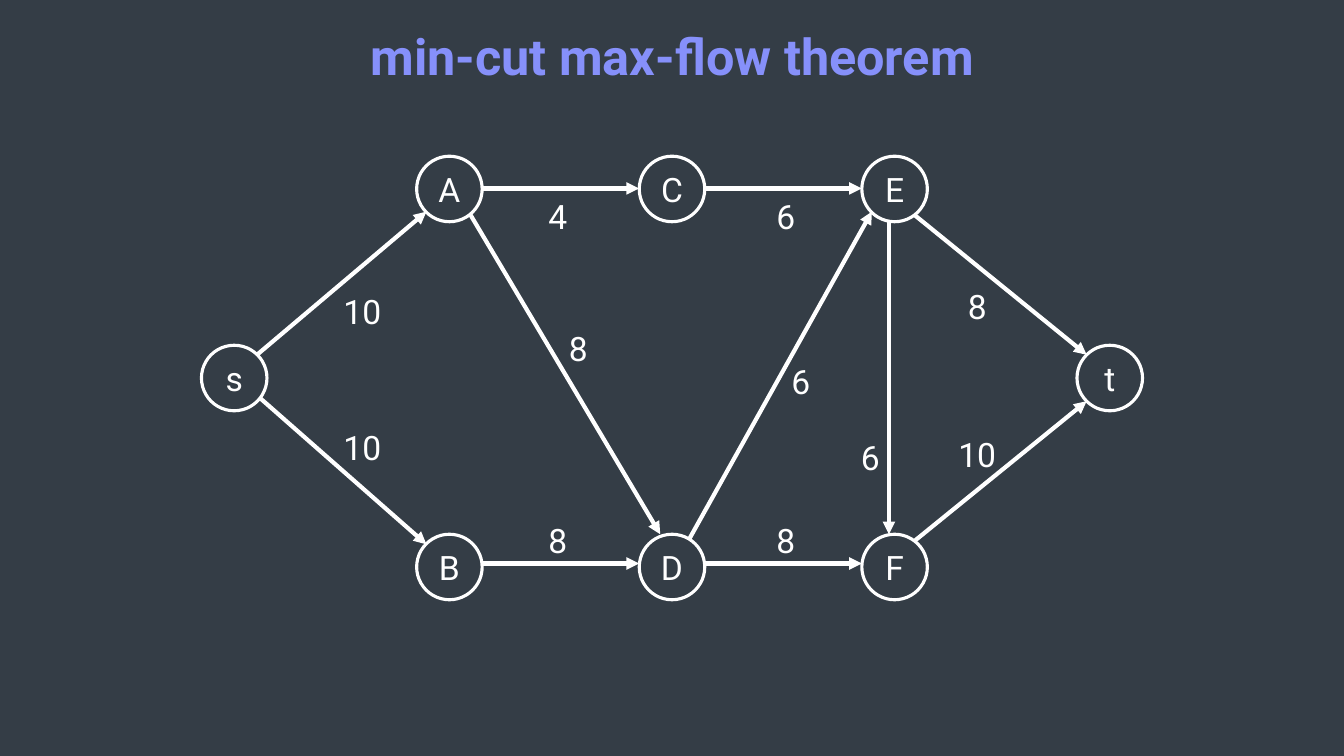
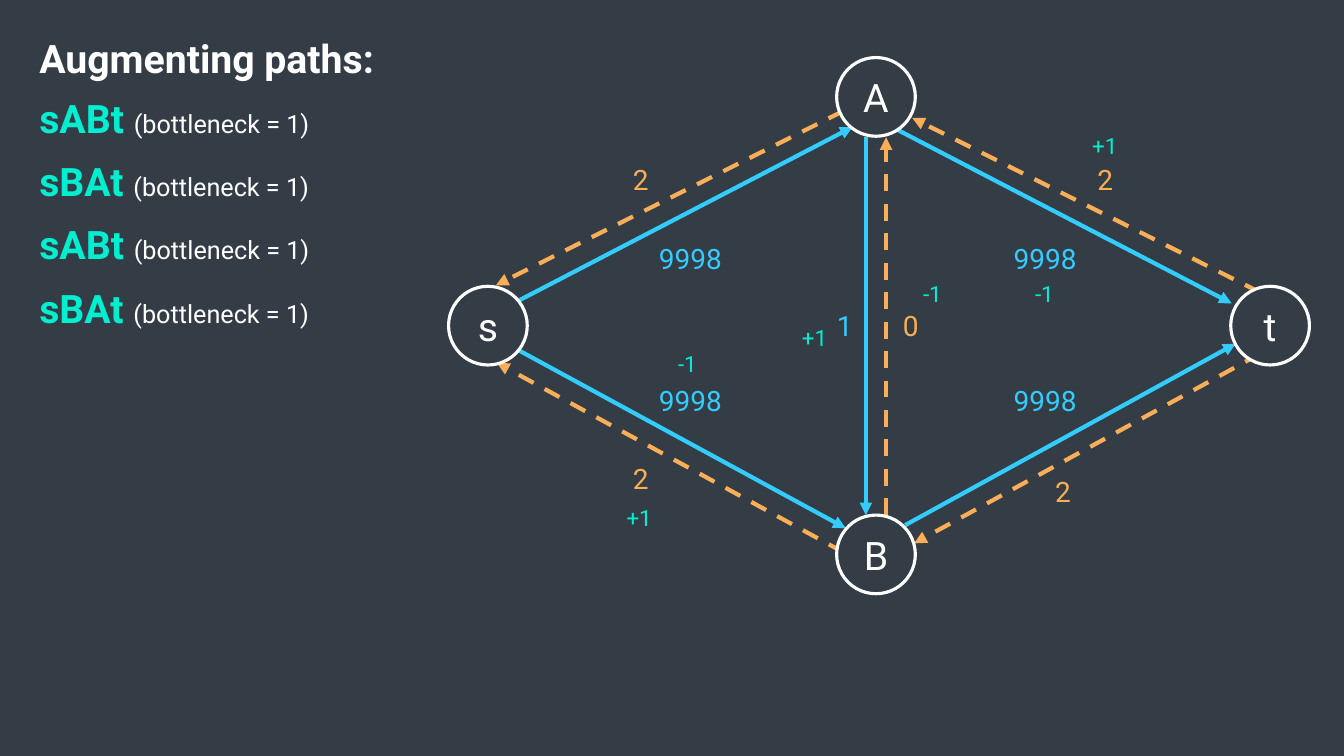
import pptx
import pptx.dml.color
import pptx.enum.dml
import pptx.enum.shapes
import pptx.enum.text
import pptx.oxml
import pptx.oxml.ns
import pptx.util

Pt = pptx.util.Pt
ALIGN = pptx.enum.text.PP_ALIGN
ANCHOR = pptx.enum.text.MSO_ANCHOR

FONT = "Roboto"
BACKGROUND, WHITE, TITLE = "343D46", "FFFFFF", "8690FA"
FORWARD, BACKWARD, ACCENT = "33CCFF", "F9AE57", "00EFD1"

# Nodes are name: centre; edges are start x, y, end x, y; labels are text, centre x, top.
MID_X, MID_Y, ROW_GAP, INNER, OUTER = 480, 270, 135, 159, 312.7
TOP_Y, BOTTOM_Y = MID_Y - ROW_GAP, MID_Y + ROW_GAP
FLOW_NODES = {
    "s": (MID_X - OUTER, MID_Y), "t": (MID_X + OUTER, MID_Y),
    "A": (MID_X - INNER, TOP_Y), "C": (MID_X, TOP_Y), "E": (MID_X + INNER, TOP_Y),
    "B": (MID_X - INNER, BOTTOM_Y), "D": (MID_X, BOTTOM_Y), "F": (MID_X + INNER, BOTTOM_Y),
}
FLOW_EDGES = [
    (324, 133.2, 471.6, 381.6), (480.2, 406.8, 622.8, 151.2),
    (183.6, 253.4, 304.6, 151.2), (185.8, 284.4, 304.6, 388.8),
    (344.2, 134.6, 456.5, 134.6), (503.3, 134.6, 615.6, 134.6),
    (344.2, 402.5, 456.5, 402.5), (503.3, 402.5, 615.6, 402.5),
    (635, 158.4, 635, 381.6),
    (653, 153.4, 776.2, 253.4), (653, 386.6, 776.2, 286.6),
]
CAPACITIES = [
    ("10", 258.8, 208), ("10", 258.8, 305.3), ("4", 398.5, 139.7), ("6", 561.2, 139.7),
    ("8", 398.5, 371.5), ("8", 561.2, 371.5), ("8", 413, 234), ("6", 572, 257.8),
    ("6", 621.7, 311.8), ("8", 698, 204.5), ("10", 698, 309.6),
]

RESIDUAL_NODES = {"s": (348.5, 232.6), "t": (907.2, 232.6), "A": (625.7, 69.2), "B": (625.7, 396)}
FORWARD_EDGES = [
    (369.4, 215.3, 609.1, 90.7), (367.2, 248.4, 604.1, 377.3), (618.5, 98, 618.5, 368),
    (640, 92.2, 879.8, 216.7), (646.6, 375.1, 882.7, 245.5),
]
BACKWARD_EDGES = [
    (602.6, 79.2, 354.2, 203.8), (602.6, 394.6, 355, 259.2), (632.9, 368, 632.9, 98),
    (900, 208.8, 651.6, 84.2), (900, 252.7, 653, 388.1),
]
FORWARD_LABELS = [("9998", x, y) for x in (493.2, 746.6) for y in (172.8, 273.6)] + [("1", 603.4, 220.3)]
BACKWARD_LABELS = [
    ("2", 457.6, 115.9), ("2", 457.6, 329.8), ("0", 650.5, 220.3),
    ("2", 789.5, 115.9), ("2", 759.2, 339.1),
]
CHANGES = [
    ("+1", 456.5, 360), ("-1", 491, 249.8), ("+1", 581.8, 231.8),
    ("-1", 666, 200.2), ("-1", 746, 200.2), ("+1", 789.1, 94.3),
]
PATHS = ["sABt", "sBAt", "sABt", "sBAt"]


def rgb(color):
    return pptx.dml.color.RGBColor.from_string(color)


def add_run(p, text, size, color, bold=False):
    r = p.add_run()
    r.text = text
    r.font.name, r.font.size, r.font.bold = FONT, Pt(size), bold
    r.font.color.rgb = rgb(color)


def place(shape, left, top, width, height, anchor):
    shape.left, shape.top, shape.width, shape.height = map(Pt, (left, top, width, height))
    tf = shape.text_frame
    tf.auto_size = pptx.enum.text.MSO_AUTO_SIZE.NONE
    tf.word_wrap, tf.vertical_anchor = True, anchor
    return tf


def set_title(s, text, box, size, color, align):
    p = place(s.shapes.title, *box, ANCHOR.MIDDLE).paragraphs[0]
    p.alignment = align
    add_run(p, text, size, color, True)


def add_edges(s, edges, color, dashed=False):
    for edge in edges:
        line = s.shapes.add_connector(pptx.enum.shapes.MSO_CONNECTOR.STRAIGHT, *map(Pt, edge))
        line.line.color.rgb, line.line.width = rgb(color), Pt(3)
        if dashed:
            line.line.dash_style = pptx.enum.dml.MSO_LINE.DASH
        ns = pptx.oxml.ns.nsdecls("a")
        line.line._get_or_add_ln().append(pptx.oxml.parse_xml(f'<a:tailEnd {ns} type="triangle"/>'))
        line._element.spPr.append(pptx.oxml.parse_xml(f"<a:effectLst {ns}/>"))


def add_nodes(s, nodes, diameter, size):
    for name, (x, y) in nodes.items():
        node = s.shapes.add_shape(
            pptx.enum.shapes.MSO_SHAPE.OVAL,
            Pt(x - diameter / 2), Pt(y - diameter / 2), Pt(diameter), Pt(diameter))
        node.shadow.inherit = False
        node.fill.solid()
        node.fill.fore_color.rgb = rgb(BACKGROUND)
        node.line.color.rgb, node.line.width = rgb(WHITE), Pt(2.25)
        tf = node.text_frame
        tf.vertical_anchor = ANCHOR.MIDDLE
        tf.paragraphs[0].alignment = ALIGN.CENTER
        add_run(tf.paragraphs[0], name, size, WHITE)


def add_labels(s, labels, size, color):
    width, height = 60, size * 1.2
    for text, x, top in labels:
        box = s.shapes.add_textbox(0, 0, 0, 0)
        tf = place(box, x - width / 2, top, width, height, ANCHOR.TOP)
        tf.margin_left = tf.margin_right = tf.margin_top = tf.margin_bottom = 0
        tf.paragraphs[0].alignment = ALIGN.CENTER
        add_run(tf.paragraphs[0], text, size, color)


def add_paths(s):
    tf = place(s.placeholders[1], 20.9, 63.4, 260, 176, ANCHOR.TOP)
    for i, name in enumerate(PATHS):
        p = tf.paragraphs[0] if i == 0 else tf.add_paragraph()
        pPr = p._p.get_or_add_pPr()
        pPr.set("marL", "0")
        pPr.set("indent", "0")
        pPr.append(pptx.oxml.parse_xml(f'<a:buNone {pptx.oxml.ns.nsdecls("a")}/>'))
        p.space_before = Pt(11.7 if i else 0)
        add_run(p, name + " ", 28, ACCENT, True)
        add_run(p, "(bottleneck = 1)", 18, WHITE)


def main():
    prs = pptx.Presentation()
    prs.slide_width, prs.slide_height = Pt(960), Pt(540)
    fill = prs.slide_master.background.fill
    fill.solid()
    fill.fore_color.rgb = rgb(BACKGROUND)

    s = prs.slides.add_slide(prs.slide_layouts.get_by_name("Title Only"))
    set_title(s, "min-cut max-flow theorem", (154.8, 13.7, 651, 51), 36, TITLE, ALIGN.CENTER)
    add_edges(s, FLOW_EDGES, WHITE)
    add_nodes(s, FLOW_NODES, 46.8, 24)
    add_labels(s, CAPACITIES, 24, WHITE)

    s = prs.slides.add_slide(prs.slide_layouts.get_by_name("Title and Content"))
    set_title(s, "Augmenting paths:", (20.9, 20.9, 288, 41), 28, WHITE, ALIGN.LEFT)
    add_paths(s)
    add_edges(s, FORWARD_EDGES, FORWARD)
    add_edges(s, BACKWARD_EDGES, BACKWARD, dashed=True)
    add_nodes(s, RESIDUAL_NODES, 56.2, 28)
    add_labels(s, FORWARD_LABELS, 20, FORWARD)
    add_labels(s, BACKWARD_LABELS, 20, BACKWARD)
    add_labels(s, CHANGES, 16, ACCENT)

    prs.save("out.pptx")


if __name__ == "__main__":
    main()
